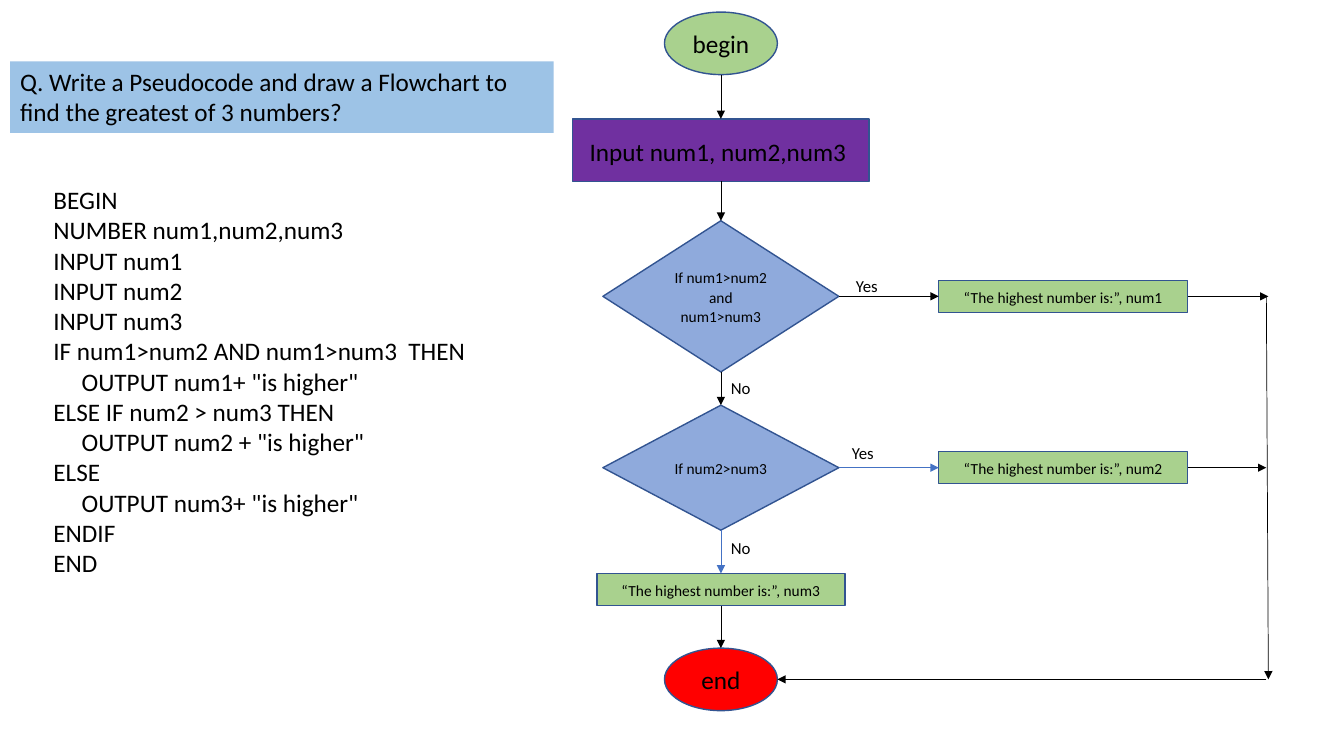
from dataclasses import dataclass
from typing import Any, NamedTuple

from lxml.etree import SubElement
from pptx import Presentation
from pptx.dml.color import RGBColor
from pptx.enum.shapes import MSO_CONNECTOR as Conn, MSO_SHAPE as Kind
from pptx.enum.text import MSO_ANCHOR as Anchor, MSO_AUTO_SIZE as Fit, PP_ALIGN as Align
from pptx.oxml.ns import qn
from pptx.util import Emu, Pt

PX = 9144  # EMU per px, 100 px to the inch
BLACK, BLUE, EDGE = "000000", "4472C4", "325491"
GREEN, PURPLE, STEEL, RED, SKY = "A9D18E", "7030A0", "8FAADC", "FF0000", "9DC3E6"
TOP, LEFT, BOTTOM, RIGHT = range(4)
MID = 715  # centre line of the main flow

PLAIN = {"alignment": Align.LEFT, "space_before": Pt(0)}
ROUND = {"alignment": Align.CENTER}
LOOSE = {"alignment": Align.CENTER, "line_spacing": 1.07, "space_after": Pt(8)}


class Box(NamedTuple):
    x: int
    y: int
    w: int
    h: int


@dataclass
class Node:
    key: str
    kind: Kind
    box: Box
    fill: str
    text: str
    size: int


@dataclass
class Link:
    start: tuple  # (node, side) or (x, y)
    end: tuple
    tint: str = BLACK


@dataclass
class Label:
    text: str
    x: int
    y: int


def mid(y: int, w: int, h: int) -> Box:
    return Box(MID - w // 2, y, w, h)


def out(num: int, box: Box) -> Node:
    text = f"“The highest number is:”, num{num}"
    return Node(f"out{num}", Kind.RECTANGLE, box, GREEN, text, 11)


NODES = [
    Node("begin", Kind.OVAL, mid(12, 112, 62), GREEN, "begin", 18),
    Node("input", Kind.RECTANGLE, mid(118, 294, 62), PURPLE, "Input num1, num2,num3 ", 18),
    Node("both", Kind.DIAMOND, mid(219, 234, 150), STEEL, "If num1>num2 and num1>num3", 11),
    Node("second", Kind.DIAMOND, mid(402, 234, 124), STEEL, "If num2>num3", 11),
    out(3, mid(569, 246, 32)),
    out(2, Box(931, 448, 247, 32)),
    out(1, Box(931, 278, 247, 32)),
    Node("end", Kind.OVAL, mid(643, 112, 62), RED, "end", 18),
]
LINKS = [
    Link((MID, 74), ("input", TOP)),
    Link(("input", BOTTOM), ("both", TOP)),
    Link(("both", BOTTOM), ("second", TOP)),
    Link(("second", BOTTOM), ("out3", TOP), BLUE),
    Link(("out3", BOTTOM), ("end", TOP)),
    Link(("both", RIGHT), ("out1", LEFT)),
    Link(("second", RIGHT), ("out2", LEFT), BLUE),
    Link(("out2", RIGHT), (1256, 464)),
    Link(("out1", RIGHT), (1258, 294)),
    Link((1256, 294), (1258, 674)),
    Link((1256, 674), (771, 674)),
]
LABELS = [
    Label("Yes", 839, 269),
    Label("Yes", 835, 434),
    Label("No", MID, 529),
    Label("No", MID, 370),
]
ASK = "Q. Write a Pseudocode and draw a Flowchart to find the greatest of 3 numbers?"
CODE = [  # indent level, line
    (0, "BEGIN"),
    (0, "NUMBER num1,num2,num3"),
    (0, "INPUT num1"),
    (0, "INPUT num2"),
    (0, "INPUT num3"),
    (0, "IF num1>num2 AND num1>num3  THEN"),
    (1, 'OUTPUT num1+ "is higher"'),
    (0, "ELSE IF num2 > num3 THEN"),
    (1, 'OUTPUT num2 + "is higher"'),
    (0, "ELSE"),
    (1, 'OUTPUT num3+ "is higher"'),
    (0, "ENDIF"),
    (0, "END"),
]


def px(num: int) -> Emu:
    return Emu(num * PX)


def tint(code: str) -> RGBColor:
    return RGBColor.from_string(code)


def apply(item: Any, vals: dict) -> None:
    for key, val in vals.items():
        setattr(item, key, val)


def paint(item: Any, code: str) -> None:
    item.fill.solid()
    item.fill.fore_color.rgb = tint(code)


def place(item: Any, box: Box) -> None:
    apply(item, dict(zip(("left", "top", "width", "height"), map(px, box))))


def write(item: Any, text: str, size: int, form: dict, anchor: Anchor = Anchor.TOP) -> None:
    frame = item.text_frame
    frame.text = text
    apply(frame, {"word_wrap": True, "auto_size": Fit.NONE, "vertical_anchor": anchor})
    for para in frame.paragraphs:
        apply(para, form)
        for run in para.runs:
            apply(run.font, {"name": "Calibri", "size": Pt(size)})
            run.font.color.rgb = tint(BLACK)


def add_node(tree: Any, node: Node) -> Any:
    item = tree.add_shape(node.kind, *map(px, node.box))
    item.shadow.inherit = False
    paint(item, node.fill)
    item.line.color.rgb = tint(EDGE)
    item.line.width = Pt(1)
    form = ROUND if node.kind == Kind.OVAL else LOOSE
    write(item, node.text, node.size, form, Anchor.MIDDLE)
    return item


def add_link(tree: Any, link: Link, nodes: dict) -> None:
    spots = [(0, 0) if spot[0] in nodes else spot for spot in (link.start, link.end)]
    line = tree.add_connector(Conn.STRAIGHT, *(px(num) for spot in spots for num in spot))
    for (key, side), join in ((link.start, line.begin_connect), (link.end, line.end_connect)):
        if key in nodes:
            join(nodes[key], side)
    line.line.color.rgb = tint(link.tint)
    line.line.width = Pt(0.5)
    props = line.element.spPr
    SubElement(props.find(qn("a:ln")), qn("a:tailEnd"), type="triangle")
    SubElement(props, qn("a:effectLst"))


def add_code(body: Any) -> None:
    place(body, Box(43, 178, 456, 434))
    write(body, "\n".join(text for _, text in CODE), 18, PLAIN)
    for para, (level, _) in zip(body.text_frame.paragraphs, CODE):
        props = para._p.get_or_add_pPr()
        props.set("marL", str(px(28 * level)))
        props.set("indent", "0")
        SubElement(props, qn("a:buNone"))


def main() -> None:
    deck = Presentation()
    apply(deck, {"slide_width": px(1333), "slide_height": px(750)})
    slide = deck.slides.add_slide(deck.slide_layouts[1])
    tree = slide.shapes

    # Question and pseudocode
    place(tree.title, Box(10, 61, 539, 71))
    paint(tree.title, SKY)
    write(tree.title, ASK, 18, PLAIN)
    add_code(slide.placeholders[1])

    # Flowchart
    nodes = {node.key: add_node(tree, node) for node in NODES}
    for link in LINKS:
        add_link(tree, link, nodes)
    for label in LABELS:
        item = tree.add_textbox(*map(px, Box(label.x, label.y, 71, 30)))
        write(item, label.text, 12, PLAIN)

    deck.save("out.pptx")


if __name__ == "__main__":
    main()
